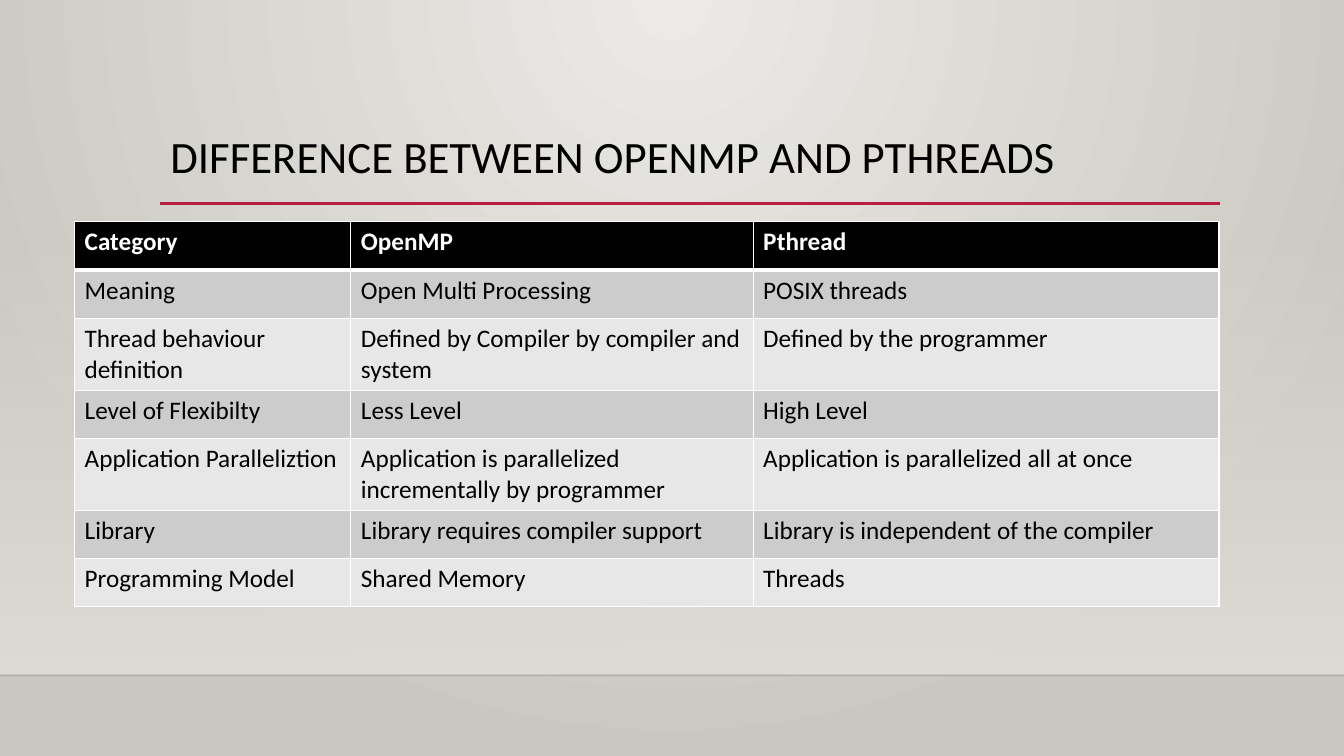
from lxml import etree
from pptx import Presentation, oxml
from pptx import util as u
from pptx.dml.color import RGBColor
from pptx.enum import shapes, text
from pptx.oxml import ns

BLACK = RGBColor(0x00, 0x00, 0x00)
WHITE = RGBColor(0xFF, 0xFF, 0xFF)
CRIMSON = RGBColor(0xB7, 0x1E, 0x42)
DARK_ROW = RGBColor(0xCC, 0xCC, 0xCC)
LIGHT_ROW = RGBColor(0xE7, 0xE7, 0xE7)
BACKDROP_CENTRE = RGBColor(0xEC, 0xEA, 0xE7)
BACKDROP_EDGE = RGBColor(0xCA, 0xC7, 0xC1)
WALL = RGBColor(0xDF, 0xDB, 0xD5)
FLOOR_LINE = RGBColor(0x00, 0x00, 0x01)

FONT = "Calibri"
SLIDE_WIDTH = 13.33
FLOOR_TOP = 6.7
COLUMN_WIDTHS = (2.74, 3.99, 4.62)
ROW_HEIGHT = 0.48
ROWS = (
    ("Category", "OpenMP", "Pthread"),
    ("Meaning", "Open Multi Processing", "POSIX threads"),
    ("Thread behaviour definition", "Defined by Compiler by compiler and system",
     "Defined by the programmer"),
    ("Level of Flexibilty", "Less Level", "High Level"),
    ("Application Paralleliztion",
     "Application is parallelized incrementally by programmer",
     "Application is parallelized all at once"),
    ("Library", "Library requires compiler support",
     "Library is independent of the compiler"),
    ("Programming Model", "Shared Memory", "Threads"),
)


def set_gradient(fill, properties, stops, direction):
    fill.gradient()
    stop_xml = "".join(
        f'<a:gs pos="{position * 1000}"><a:srgbClr val="{color}">'
        f'<a:alpha val="{opacity * 1000}"/></a:srgbClr></a:gs>'
        for position, color, opacity in stops)
    gradient = oxml.parse_xml(
        f'<a:gradFill {ns.nsdecls("a")} rotWithShape="1">'
        f'<a:gsLst>{stop_xml}</a:gsLst>{direction}</a:gradFill>')
    properties.replace(properties.find(ns.qn("a:gradFill")), gradient)


def set_background(slide):
    fill = slide.background.fill
    properties = slide.element.find(".//" + ns.qn("p:bgPr"))
    set_gradient(
        fill, properties,
        [(0, BACKDROP_CENTRE, 100), (100, BACKDROP_EDGE, 100)],
        '<a:path path="circle"><a:fillToRect l="43000" r="43000" b="100000"/></a:path>')


def add_wall(slide):
    top = 2.21
    wall = slide.shapes.add_shape(
        shapes.MSO_SHAPE.RECTANGLE, 0, u.Inches(top),
        u.Inches(SLIDE_WIDTH), u.Inches(FLOOR_TOP - top))
    wall.shadow.inherit = False
    wall.line.fill.background()
    set_gradient(wall.fill, wall.element.spPr, [(0, WALL, 0), (100, WALL, 100)],
                 '<a:lin ang="5400000" scaled="0"/>')


def add_rule(slide, left, right, top, color, width, opacity=100):
    rule = slide.shapes.add_connector(
        shapes.MSO_CONNECTOR.STRAIGHT,
        u.Inches(left), u.Inches(top), u.Inches(right), u.Inches(top))
    rule.line.color.rgb = color
    rule.line.width = u.Pt(width)
    properties = rule.element.spPr
    if opacity < 100:
        color_element = properties.find(".//" + ns.qn("a:srgbClr"))
        etree.SubElement(color_element, ns.qn("a:alpha"), val=str(opacity * 1000))
    etree.SubElement(properties, ns.qn("a:effectLst"))


def format_paragraph(paragraph, size, color, bold=False):
    paragraph.font.name = FONT
    paragraph.font.size = u.Pt(size)
    paragraph.font.color.rgb = color
    paragraph.font.bold = bold


def set_title(slide, wording):
    title = slide.shapes.title
    title.left, title.top = u.Inches(1.59), u.Inches(1.28)
    title.width, title.height = u.Inches(10.5), u.Inches(0.59)
    frame = title.text_frame
    frame.text = wording
    frame.word_wrap = True
    frame.auto_size = text.MSO_AUTO_SIZE.NONE
    frame.vertical_anchor = text.MSO_ANCHOR.MIDDLE
    paragraph = frame.paragraphs[0]
    paragraph.alignment = text.PP_ALIGN.LEFT
    paragraph.line_spacing = 0.9
    format_paragraph(paragraph, 32, BLACK)


def set_borders(cell, widths):
    properties = cell._tc.get_or_add_tcPr()
    for index, (side, width) in enumerate(widths.items()):
        properties.insert(index, oxml.parse_xml(
            f'<a:ln{side} {ns.nsdecls("a")} w="{u.Pt(width)}"><a:solidFill>'
            f'<a:srgbClr val="{WHITE}"/></a:solidFill></a:ln{side}>'))


def add_comparison_table(slide):
    frame = slide.shapes.add_table(
        len(ROWS), len(COLUMN_WIDTHS), u.Inches(0.74), u.Inches(2.2),
        u.Inches(sum(COLUMN_WIDTHS)), u.Inches(ROW_HEIGHT * len(ROWS)))
    table = frame.table
    for column, width in zip(table.columns, COLUMN_WIDTHS):
        column.width = u.Inches(width)
    for row_index, wordings in enumerate(ROWS):
        table.rows[row_index].height = u.Inches(ROW_HEIGHT)
        header = row_index == 0
        band = DARK_ROW if row_index % 2 else LIGHT_ROW
        for column_index, wording in enumerate(wordings):
            cell = table.cell(row_index, column_index)
            cell.text = wording
            cell.fill.solid()
            cell.fill.fore_color.rgb = BLACK if header else band
            format_paragraph(cell.text_frame.paragraphs[0], 18,
                             WHITE if header else BLACK, header)
            set_borders(cell, {"L": 1, "R": 1, "T": 3 if row_index == 1 else 1,
                               "B": 3 if header else 1})


def main():
    presentation = Presentation()
    presentation.slide_width = u.Inches(SLIDE_WIDTH)
    presentation.slide_height = u.Inches(7.5)
    slide = presentation.slides.add_slide(presentation.slide_layouts[5])
    set_background(slide)
    add_wall(slide)
    add_rule(slide, 0, SLIDE_WIDTH, FLOOR_TOP, FLOOR_LINE, 1, opacity=20)
    add_rule(slide, 1.59, 12.1, 2.02, CRIMSON, 2.5)
    set_title(slide, "DIFFERENCE BETWEEN OPENMP AND PTHREADS")
    add_comparison_table(slide)
    presentation.save("out.pptx")


if __name__ == "__main__":
    main()
